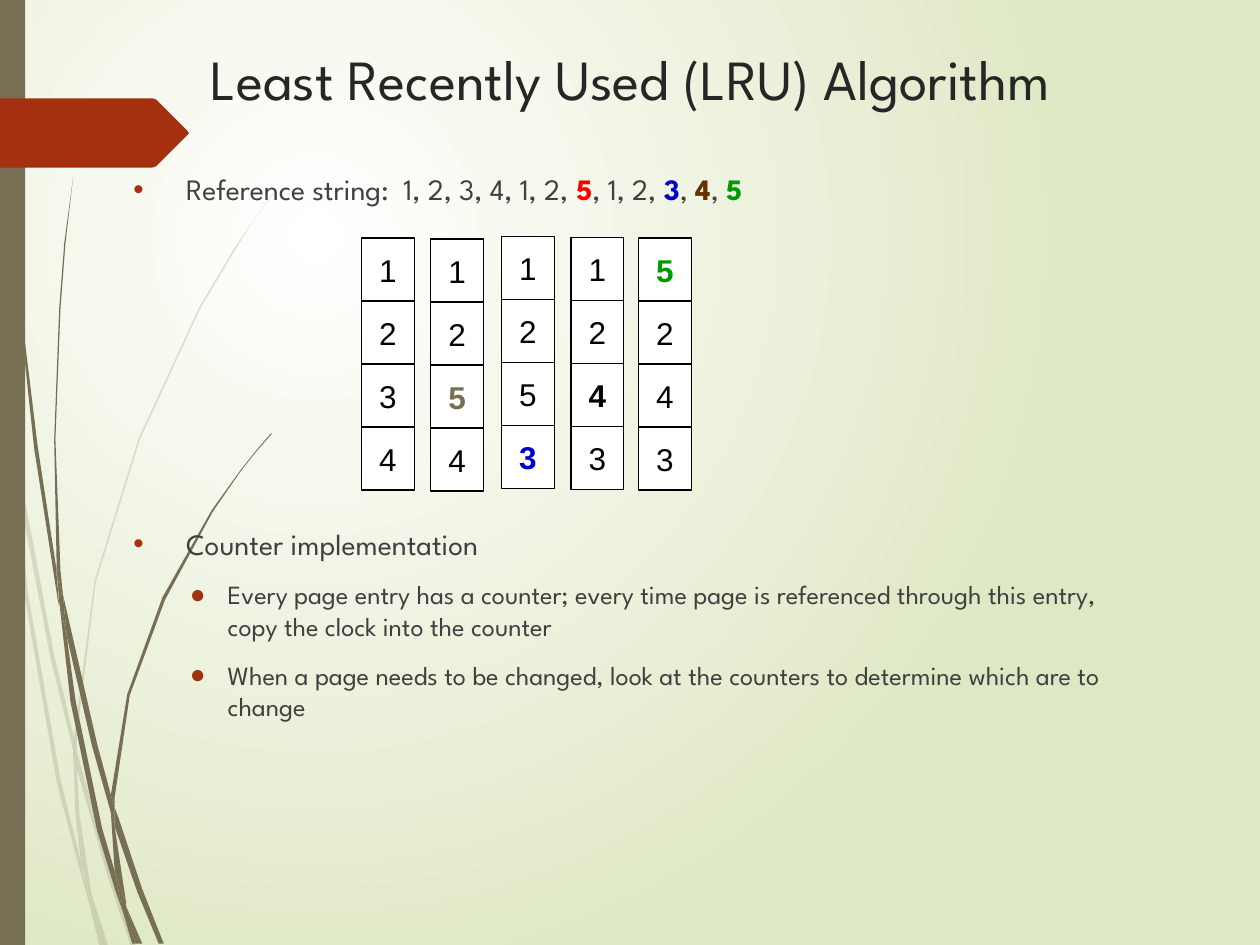
from dataclasses import dataclass

from lxml import etree
from pptx import Presentation
from pptx.dml.color import RGBColor
from pptx.enum.shapes import MSO_SHAPE
from pptx.enum.text import MSO_ANCHOR, MSO_AUTO_SIZE, PP_ALIGN
from pptx.oxml.ns import qn
from pptx.util import Pt

RECTANGLE = MSO_SHAPE.RECTANGLE
TOP, MIDDLE = MSO_ANCHOR.TOP, MSO_ANCHOR.MIDDLE
LEFT, CENTER = PP_ALIGN.LEFT, PP_ALIGN.CENTER
NO_AUTOFIT = MSO_AUTO_SIZE.NONE
TITLE_ONLY = 5
GRID = Pt(0.72)


@dataclass(frozen=True)
class Theme:
    """Colours, fonts and type sizes of the slide."""
    white: str = "FFFFFF"
    black: str = "000000"
    backdrop: str = "DFE8C4"
    olive: str = "766F54"
    rust: str = "A53010"
    heading: str = "262626"
    body: str = "404040"
    red: str = "FF0000"
    blue: str = "0000CC"
    brown: str = "663300"
    green: str = "009900"
    text_font: str = "League Spartan"
    cell_font: str = "Arial"
    title_size: float = 32.4
    body_size: float = 16.9
    detail_size: float = 15
    cell_size: float = 18


THEME = Theme()

PALE_WISPS = [
    [(8, 350), (6, 322), (0, 282), (0, 299), (7, 344)],
    [(40, 522), (59, 599), (59, 586), (43, 520), (10, 345), (12, 376)],
    [(64, 607), (61, 596), (61, 610), (85, 694), (104, 751), (108, 751), (88, 692)],
    [(83, 751), (86, 751), (73, 711)],
    [(64, 683), (48, 619), (22, 469), (12, 376), (8, 350), (19, 470), (45, 621),
     (64, 693), (70, 714), (69, 707)],
    [(58, 599), (60, 646), (64, 683), (67, 692), (73, 711), (72, 706), (63, 646),
     (61, 610), (61, 608)],
    [(61, 584), (76, 462), (111, 349), (159, 245), (187, 198), (201, 175), (217, 154),
     (217, 153), (201, 175), (186, 197), (158, 244), (110, 348), (75, 461), (59, 584),
     (59, 586), (61, 596)],
    [(70, 714), (79, 751), (82, 751)],
    [(61, 608), (61, 610), (61, 596), (59, 586), (58, 599)],
    [(67, 692), (65, 683), (69, 707), (70, 714), (82, 751), (83, 751), (73, 711)],
]
DARK_WISPS = [
    [(5, 110), (14, 233), (27, 355), (46, 477), (47, 481), (45, 457), (45, 453),
     (30, 355), (15, 232), (6, 109), (4, 48), (3, 0), (2, 0), (3, 48)],
    [(73, 592), (88, 645), (88, 633), (88, 631), (77, 590), (50, 472), (53, 505)],
    [(94, 649), (91, 641), (91, 656), (109, 708), (126, 749), (130, 749), (113, 706)],
    [(91, 691), (81, 657), (60, 556), (53, 505), (47, 477), (56, 557), (77, 659),
     (92, 708), (97, 722), (96, 717)],
    [(50, 472), (48, 453), (44, 349), (48, 245), (52, 193), (58, 141), (57.8, 141),
     (51, 193), (47, 245), (43, 349), (45, 449), (49, 472)],
    [(110, 749), (113, 749), (100, 719)],
    [(47, 477), (53, 505), (50, 472), (49, 472), (45, 449), (45, 453)],
    [(91, 633), (103, 552), (131, 476), (169, 406), (191, 374), (203, 359), (216, 344),
     (215, 344), (203, 358), (191, 373), (168, 405), (129, 474), (101, 551), (88, 631),
     (91, 641)],
    [(97, 722), (105, 749), (108, 749)],
    [(88, 645), (91, 691), (96, 706), (100, 719), (100, 716), (91, 656), (90, 651)],
    [(88, 645), (90, 651), (91, 656), (91, 641), (88, 631), (88, 633)],
    [(96, 706), (91, 691), (96, 717), (97, 722), (108, 749), (110, 749), (100, 719)],
]
ARROW_TAB = [(149, 107), (124, 132), (121, 133), (0, 133), (0, 78), (121, 78),
             (124, 79), (149, 104), (149.5, 105.5)]
FRAMES = [("1234", 0, 0), ("1254", 39.6, 0.6), ("1253", 80, -0.8),
          ("1243", 119.8, -0.4), ("5243", 158.4, 0)]
LOADED = {(1, 2): THEME.olive, (2, 3): THEME.blue, (3, 2): THEME.black, (4, 0): THEME.green}
REFERENCES = [
    ("Reference string:  1, 2, 3, 4, 1, 2, ", None), ("5", THEME.red), (", 1, 2, ", None),
    ("3", THEME.blue), (", ", None), ("4", THEME.brown), (", ", None), ("5", THEME.green),
]
DETAILS = [
    "Every page entry has a counter; every time page is referenced through this entry, "
    "copy the clock into the counter",
    "When a page needs to be changed, look at the counters to determine which are to change",
]


def set_font(font, name, size, color, bold=False):
    """Give a font its face, size, colour and weight."""
    font.name, font.size, font.bold = name, Pt(size), bold
    font.color.rgb = RGBColor.from_string(color)


def paint(shape, color):
    """Fill a shape plainly, with no outline or shadow."""
    shape.shadow.inherit = False
    shape.fill.solid()
    shape.fill.fore_color.rgb = RGBColor.from_string(color)
    shape.line.fill.background()


def add_rectangle(page, box, color):
    """Add a plain rectangle in the given box."""
    shape = page.shapes.add_shape(RECTANGLE, *map(Pt, box))
    paint(shape, color)
    return shape


def set_background(page):
    """Lay a round gradient over the page."""
    fill = page.background.fill
    fill.gradient()
    for stop, position, color in zip(fill.gradient_stops, (0, 1), (THEME.white, THEME.backdrop)):
        stop.position = position
        stop.color.rgb = RGBColor.from_string(color)
    gradient = page.element.find(".//" + qn("a:gradFill"))
    gradient.remove(gradient.find(qn("a:lin")))
    circle = etree.SubElement(gradient, qn("a:path"), path="circle")
    etree.SubElement(circle, qn("a:fillToRect"), l="50000", t="50000", r="100000", b="100000")


def add_outline(shapes, left, top, points, color):
    """Draw a closed outline from points on the fine grid."""
    builder = shapes.build_freeform(*points[0], scale=GRID)
    builder.add_line_segments(points[1:], close=True)
    outline = builder.convert_to_shape(Pt(left), Pt(top))
    paint(outline, color)
    return outline


def add_wisps(page, left, top, wisps, alpha=None):
    """Draw one group of grass blades."""
    group = page.shapes.add_group_shape()
    for points in wisps:
        blade = add_outline(group.shapes, left, top, points, THEME.olive)
        if alpha:
            color = blade.element.find(".//" + qn("a:srgbClr"))
            etree.SubElement(color, qn("a:alpha"), val=str(alpha * 1000))


def add_decoration(page, box):
    """Draw the grass, the side bar and the arrow tab."""
    left, top, _, height = box
    add_wisps(page, left, top, PALE_WISPS, alpha=20)
    add_wisps(page, left, top, DARK_WISPS)
    add_rectangle(page, (left, top, 14.4, height), THEME.olive)
    add_outline(page.shapes, left, top, ARROW_TAB, THEME.rust)


def set_title(page, box):
    """Place and format the title."""
    title = page.shapes.title
    title.left, title.top, title.width, title.height = map(Pt, box)
    frame = title.text_frame
    frame.text = "Least Recently Used (LRU) Algorithm"
    frame.word_wrap, frame.auto_size, frame.vertical_anchor = True, NO_AUTOFIT, TOP
    para = frame.paragraphs[0]
    para.alignment = LEFT
    set_font(para.font, THEME.text_font, THEME.title_size, THEME.heading)


def format_bullet(para, mark, margin, indent, size, before=0):
    """Give a paragraph its bullet, indent, spacing and font."""
    props = para._p.get_or_add_pPr()
    props.set("marL", str(Pt(margin)))
    props.set("indent", str(Pt(-indent)))
    color = etree.SubElement(props, qn("a:buClr"))
    etree.SubElement(color, qn("a:srgbClr"), val=THEME.rust)
    etree.SubElement(props, qn("a:buFont"), typeface=THEME.cell_font)
    etree.SubElement(props, qn("a:buChar"), char=mark)
    para.space_before = Pt(before)
    set_font(para.font, THEME.text_font, size, THEME.body)


def add_body(page, box):
    """Write the reference string and, below the frames, the counter notes."""
    frame = page.shapes.add_textbox(*map(Pt, box)).text_frame
    frame.word_wrap = True
    para = frame.paragraphs[0]
    format_bullet(para, "•", 33.1, 30.2, THEME.body_size)
    for text, color in REFERENCES:
        span = para.add_run()
        span.text = text
        if color:
            span.font.bold = True
            span.font.color.rgb = RGBColor.from_string(color)
    para = frame.add_paragraph()
    para.text = "Counter implementation"
    format_bullet(para, "•", 33.1, 30.2, THEME.body_size, before=182.3)
    for text in DETAILS:
        para = frame.add_paragraph()
        para.text = text
        para.level = 1
        format_bullet(para, "●", 56.9, 21.6, THEME.detail_size, before=10)


def add_frames(page, box):
    """Draw the memory frames, one column for each state."""
    left, top, cell_width, height = box
    cell_height = height / len(FRAMES[0][0])
    for column, (state, shift, drop) in enumerate(FRAMES):
        for row, number in enumerate(state):
            place = (left + shift, top + drop + row * cell_height, cell_width, cell_height)
            cell = add_rectangle(page, place, THEME.white)
            cell.line.color.rgb = RGBColor.from_string(THEME.black)
            cell.line.width = Pt(0.75)
            frame = cell.text_frame
            frame.text = number
            frame.word_wrap, frame.vertical_anchor = False, MIDDLE
            para = frame.paragraphs[0]
            para.alignment = CENTER
            color = LOADED.get((column, row), THEME.black)
            set_font(para.font, THEME.cell_font, THEME.cell_size, color, (column, row) in LOADED)


def main():
    """Build the deck and save it."""
    deck = Presentation()
    deck.slide_width, deck.slide_height = Pt(720), Pt(540)
    page = deck.slides.add_slide(deck.slide_layouts[TITLE_ONLY])
    set_background(page)
    add_decoration(page, (0, 0, 720, 540))
    set_title(page, (113, 21.6, 590.4, 53.3))
    add_body(page, (66.2, 94.3, 578.9, 352.8))
    add_frames(page, (206.5, 136, 30.2, 144))
    deck.save("out.pptx")


if __name__ == "__main__":
    main()
